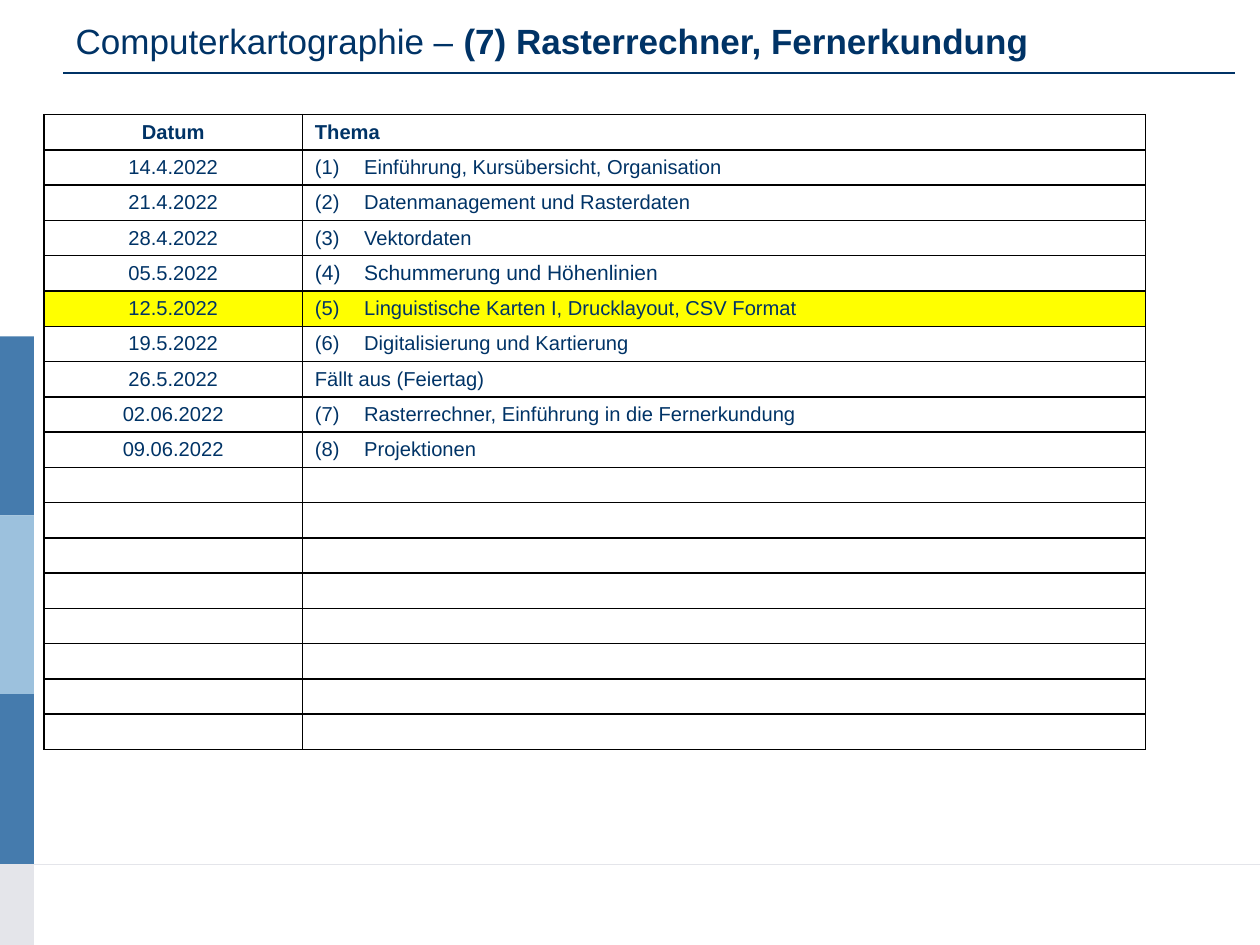
"""Build the course schedule slide with its title, side bars and table."""
from lxml.etree import SubElement
from pptx import Presentation
from pptx.dml.color import RGBColor
from pptx.enum.shapes import MSO_CONNECTOR, MSO_SHAPE
from pptx.enum.text import MSO_ANCHOR, PP_ALIGN
from pptx.oxml.ns import qn
from pptx.util import Inches, Pt

THEME = {
    "font": "Arial", "ink": "003366", "blue": "457BAD", "sky": "9CC1DD",
    "grey": "E4E5EA", "mark": "FFFF00", "paper": "FFFFFF", "grid": "000000",
    "title": 20, "cell": 11.5, "large": 12,
}
TITLE = [("Computerkartographie – ", False),
         ("(7) Rasterrechner, Fernerkundung", True)]
PLAN = [
    ("Datum", "Thema"),
    ("14.4.2022", "(1)\tEinführung, Kursübersicht, Organisation"),
    ("21.4.2022", "(2)\tDatenmanagement und Rasterdaten"),
    ("28.4.2022", "(3)\tVektordaten"),
    ("05.5.2022", "(4)\tSchummerung und Höhenlinien"),
    ("12.5.2022", "(5)\tLinguistische Karten I, Drucklayout, CSV Format"),
    ("19.5.2022", "(6)\tDigitalisierung und Kartierung"),
    ("26.5.2022", "Fällt aus (Feiertag)"),
    ("02.06.2022", "(7)\tRasterrechner, Einführung in die Fernerkundung"),
    ("09.06.2022", "(8)\tProjektionen"),
]
SPARE = 8
MARKED = 5
LARGE = (4, 1)
COLS = (2.05, 6.69)
ROW = 0.28
BARS = [("blue", 2.67), ("sky", 4.09), ("blue", 5.51), ("grey", 6.86)]
RULES = [(0, 10, 6.86, "grey", 0.5), (0.5, 9.8, 0.58, "ink", 0.75)]


def tone(name):
    return RGBColor.from_string(THEME[name])


def style(font, size, bold=None):
    font.name, font.size, font.bold = THEME["font"], Pt(THEME[size]), bold
    font.color.rgb = tone("ink")


def add_bars(slide):
    ends = [top for _, top in BARS[1:]] + [7.5]
    for (name, top), end in zip(BARS, ends):
        bar = slide.shapes.add_shape(MSO_SHAPE.RECTANGLE, 0, Inches(top),
                                     Inches(0.27), Inches(end - top))
        bar.fill.solid()
        bar.fill.fore_color.rgb = tone(name)
        bar.line.fill.background()
        bar.shadow.inherit = False


def add_rules(slide):
    for left, right, y, name, width in RULES:
        rule = slide.shapes.add_connector(MSO_CONNECTOR.STRAIGHT, Inches(left),
                                          Inches(y), Inches(right), Inches(y))
        rule.line.color.rgb = tone(name)
        rule.line.width = Pt(width)
        SubElement(rule._element.spPr, qn("a:effectLst"))


def add_title(slide):
    box = slide.shapes.title
    box.left, box.top = Inches(0.5), Inches(0.05)
    box.width, box.height = Inches(9), Inches(0.55)
    box.text_frame.vertical_anchor = MSO_ANCHOR.MIDDLE
    para = box.text_frame.paragraphs[0]
    para.alignment = PP_ALIGN.LEFT
    style(para.font, "title")
    for text, bold in TITLE:
        run = para.add_run()
        run.text, run.font.bold = text, bold


def add_edges(cell):
    props = cell._tc.get_or_add_tcPr()
    for i, side in enumerate(("lnL", "lnR", "lnT", "lnB")):
        edge = props.makeelement(qn("a:" + side), {"w": str(Pt(1))})
        fill = SubElement(edge, qn("a:solidFill"))
        SubElement(fill, qn("a:srgbClr"), val=THEME["grid"])
        props.insert(i, edge)


def fill_cell(cell, text, row, col):
    cell.fill.solid()
    cell.fill.fore_color.rgb = tone("mark" if row == MARKED else "paper")
    cell.margin_top = cell.margin_bottom = Inches(0.04)
    cell.vertical_anchor = MSO_ANCHOR.MIDDLE
    add_edges(cell)
    size = "large" if (row, col) == LARGE else "cell"
    para = cell.text_frame.paragraphs[0]
    if not text:
        SubElement(para._p, qn("a:endParaRPr"), sz=str(Pt(THEME[size]).centipoints))
        return
    para.alignment = PP_ALIGN.LEFT if col else PP_ALIGN.CENTER
    if "\t" in text:
        props = para._p.get_or_add_pPr()
        props.set("marL", str(Inches(0.39)))
        props.set("indent", str(-Inches(0.39)))
    style(para.font, size, row == 0)
    para.add_run().text = text


def add_plan(slide):
    rows = PLAN + [("", "")] * SPARE
    table = slide.shapes.add_table(
        len(rows), len(COLS), Inches(0.35), Inches(0.91),
        Inches(sum(COLS)), Inches(ROW * len(rows))).table
    table.first_row = table.horz_banding = False
    for col, width in zip(table.columns, COLS):
        col.width = Inches(width)
    for r, texts in enumerate(rows):
        table.rows[r].height = Inches(ROW)
        for c, text in enumerate(texts):
            fill_cell(table.cell(r, c), text, r, c)


def main():
    deck = Presentation()
    deck.slide_width, deck.slide_height = Inches(10), Inches(7.5)
    slide = deck.slides.add_slide(deck.slide_layouts[5])
    add_bars(slide)
    add_title(slide)
    add_rules(slide)
    add_plan(slide)
    deck.save("out.pptx")


if __name__ == "__main__":
    main()
